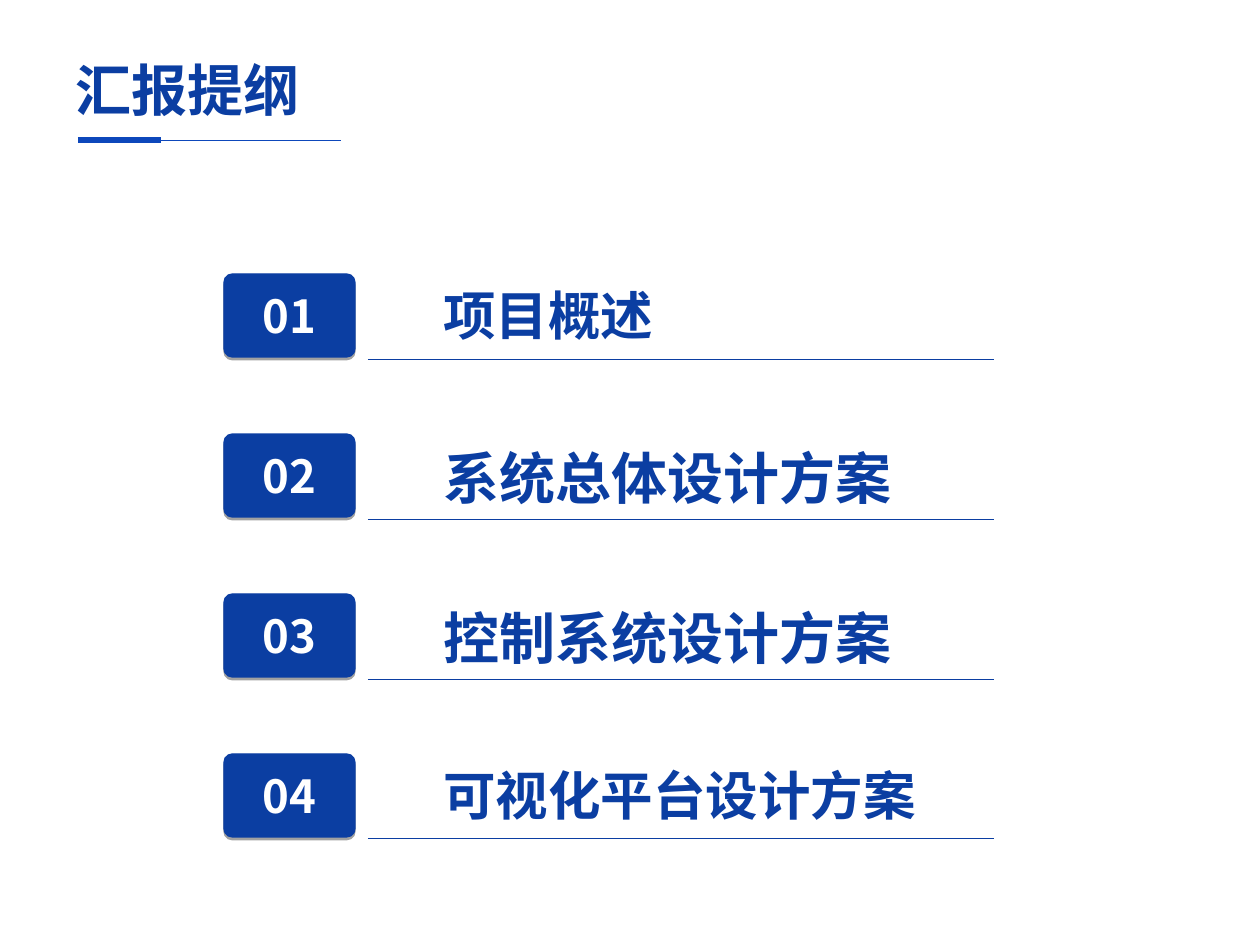
from lxml import etree
from pptx import Presentation, util as u
from pptx.dml.color import RGBColor
from pptx.enum import shapes, text
from pptx.oxml import parse_xml
from pptx.oxml.ns import qn

TITLE = "汇报提纲"
SECTIONS = [
    ("项目概述", 30, 554),
    ("系统总体设计方案", 32, 605),
    ("控制系统设计方案", 32, 605),
    ("可视化平台设计方案", 30, 678),
]
COLORS = {"blue": "0B3EA2", "accent": "0D47BB", "white": "FFFFFF"}
CJK_FONT = "Noto Sans CJK SC"
PX = 914400 // 126
FIRST_ROW, ROW_PITCH = 274, 160
SHADOW = (
    '<a:effectLst xmlns:a="http://schemas.openxmlformats.org/drawingml/2006/main">'
    '<a:outerShdw blurRad="0" dist="20320" dir="5400000" rotWithShape="0">'
    '<a:srgbClr val="000000"><a:alpha val="37000"/></a:srgbClr>'
    '</a:outerShdw></a:effectLst>'
)


def px(*values):
    return [u.Emu(value * PX) for value in values]


def color(name):
    return RGBColor.from_string(COLORS[name])


def write(box, words, size, font, shade):
    para = box.text_frame.paragraphs[0]
    para.text = words
    para.font.size = u.Pt(size)
    para.font.name = font
    para.font.bold = True
    para.font.color.rgb = color(shade)
    latin = para._p.pPr.find(qn("a:defRPr")).find(qn("a:latin"))
    east = etree.Element(qn("a:ea"), typeface=CJK_FONT)
    latin.addnext(east)
    return para


def add_label(page, place, words, size, font):
    box = page.shapes.add_textbox(*px(*place))
    box.text_frame.word_wrap = True
    box.text_frame.auto_size = text.MSO_AUTO_SIZE.SHAPE_TO_FIT_TEXT
    write(box, words, size, font, "blue")


def add_rule(page, left, right, y, width, shade):
    rule = page.shapes.add_connector(
        shapes.MSO_CONNECTOR.STRAIGHT, *px(left, y, right, y))
    rule.line.color.rgb = color(shade)
    rule.line.width = u.Pt(width)
    etree.SubElement(rule._element.spPr, qn("a:effectLst"))


def add_badge(page, top, number):
    badge = page.shapes.add_shape(
        shapes.MSO_SHAPE.ROUNDED_RECTANGLE, *px(224, top, 131, 83))
    badge.adjustments[0] = 0.1
    badge.fill.solid()
    badge.fill.fore_color.rgb = color("blue")
    badge.line.color.rgb = color("blue")
    badge.line.width = u.Pt(0.75)
    badge._element.spPr.append(parse_xml(SHADOW))
    badge.text_frame.vertical_anchor = text.MSO_ANCHOR.MIDDLE
    para = write(badge, f"{number:02d}", 26, CJK_FONT, "white")
    para.alignment = text.PP_ALIGN.CENTER


def main():
    deck = Presentation()
    deck.slide_width, deck.slide_height = px(1260, 945)
    page = deck.slides.add_slide(deck.slide_layouts[6])

    add_label(page, (63, 49, 465, 83), TITLE, 32, CJK_FONT)
    add_rule(page, 78, 161, 140, 3, "accent")
    add_rule(page, 145, 341, 140, 0.25, "accent")

    for index, (words, size, width) in enumerate(SECTIONS):
        top = FIRST_ROW + index * ROW_PITCH
        add_badge(page, top, index + 1)
        add_label(page, (431, top + 3, width, 79), words, size, "Calibri")
        add_rule(page, 368, 994, top + 85, 0.5, "blue")

    deck.save("out.pptx")


if __name__ == "__main__":
    main()
